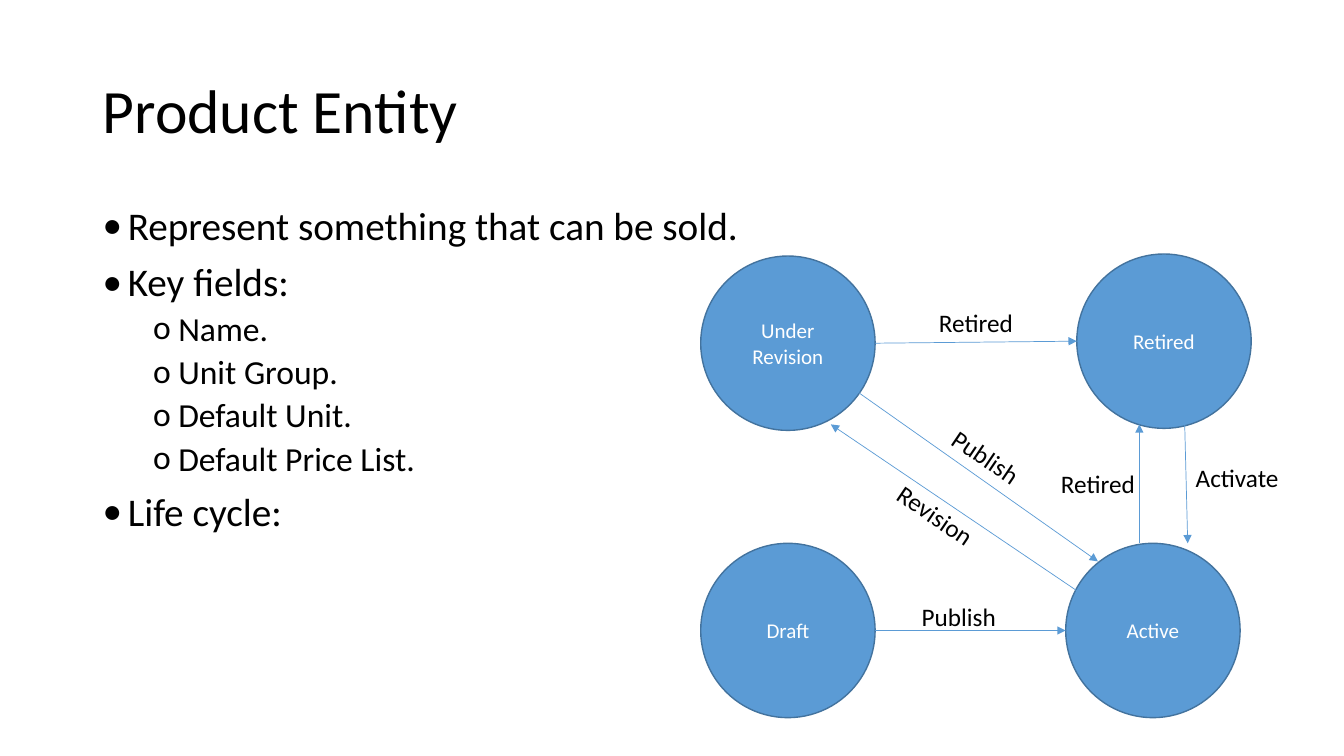
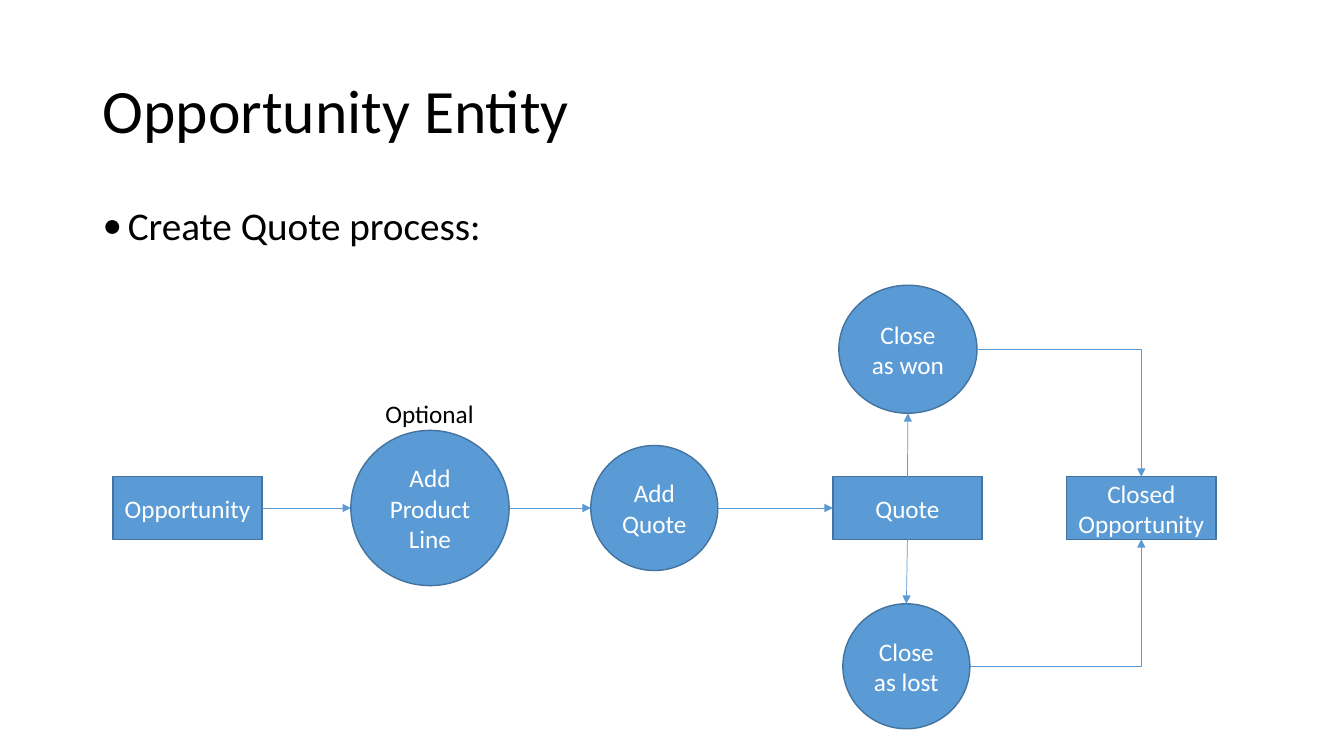
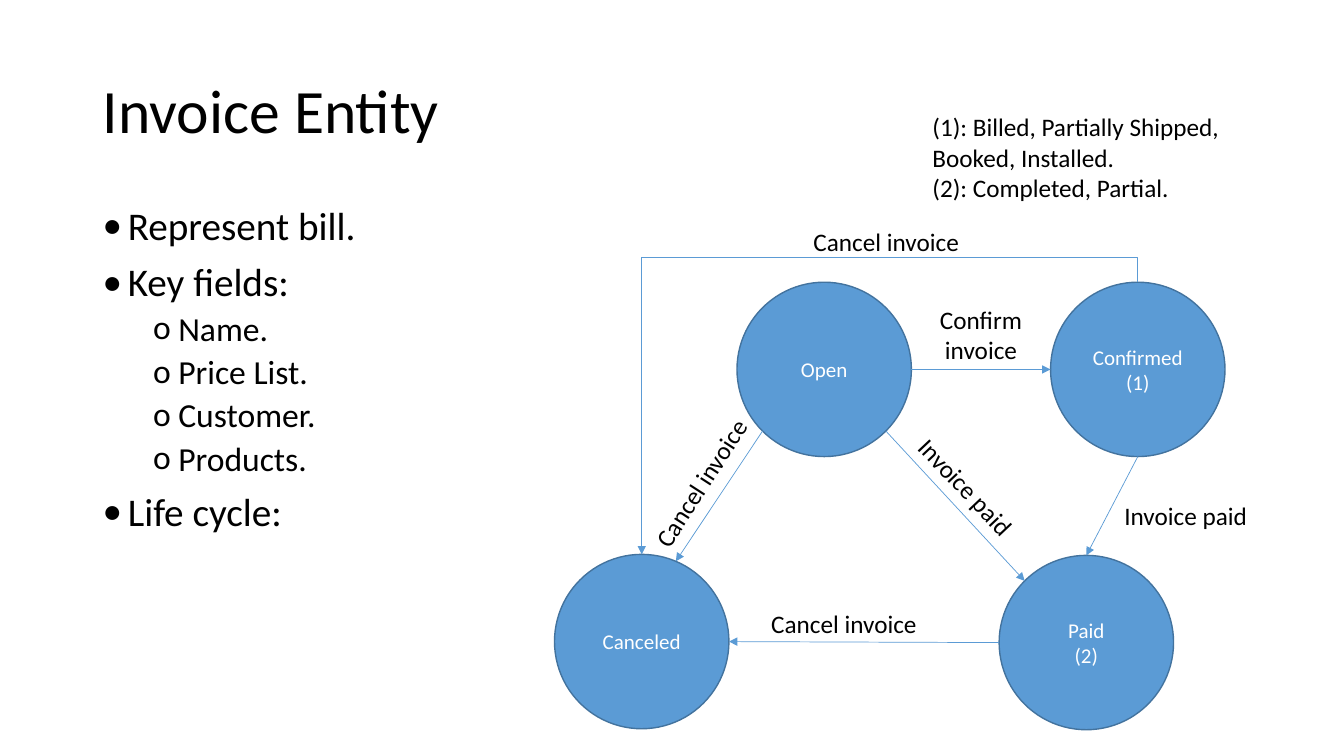
"""Build three entity slides, each with a title, bullets and a state diagram."""
from math import cos, radians, sin

from lxml import etree
from pptx import Presentation
from pptx import util as u
from pptx.dml.color import RGBColor
from pptx.enum import shapes, text
from pptx.oxml.ns import qn

FONT = "Calibri"
BLACK = RGBColor(0x00, 0x00, 0x00)
WHITE = RGBColor(0xFF, 0xFF, 0xFF)
BLUE = RGBColor(0x5B, 0x9B, 0xD5)
DARK_BLUE = RGBColor(0x43, 0x73, 0x9E)

TITLE_AREA = (0.92, 0.4, 11.5, 1.45)
BODY_AREA = (0.92, 2, 11.5, 4.76)
LABEL_SIZE = (1.66, 0.4)
STATE = (1.73, 1.73)
RECORD = (1.48, 0.62)
EAST, SOUTH, WEST, NORTH = 0, 90, 180, 270
OVAL = shapes.MSO_SHAPE.OVAL
RECT = shapes.MSO_SHAPE.RECTANGLE
LEVELS = [("•", 28, 10, 0.25), ("o", 24, 5, 0.75)]

SLIDES = [
    {
        "title": "Product Entity",
        "bullets": [
            (0, "Represent something that can be sold."), (0, "Key fields:"),
            (1, "Name."), (1, "Unit Group."), (1, "Default Unit."),
            (1, "Default Price List."), (0, "Life cycle:"),
        ],
        "node_font": 15,
        "nodes": [
            ("Active", OVAL, (10.57, 5.39), STATE),
            ("Draft", OVAL, (6.95, 5.39), STATE),
            ("Retired", OVAL, (10.68, 2.52), STATE),
            ("Under Revision", OVAL, (6.95, 2.54), STATE),
        ],
        "arrows": [
            ((11.75, 4.21), (11.78, 5.39)),
            ((11.3, 5.39), (11.3, 4.21)),
            (("Draft", EAST), ("Active", WEST)),
            ((10.68, 5.86), (8.24, 4.21)),
            ((8.48, 3.87), (10.89, 5.57)),
            (("Under Revision", EAST), ("Retired", WEST)),
        ],
        "labels": [
            ("Activate", 11.44, 4.54, 0), ("Retired", 10.06, 4.6, 0),
            ("Publish", 8.68, 5.92, 0), ("Revision", 8.45, 4.91, 34.1),
            ("Publish", 8.95, 4.33, 34.1), ("Retired", 8.85, 3, 0),
        ],
    },
    {
        "title": "Opportunity Entity",
        "bullets": [(0, "Create Quote process:")],
        "node_font": 18,
        "nodes": [
            ("Opportunity", RECT, (1.12, 4.73), RECORD),
            ("Quote", RECT, (8.26, 4.73), RECORD),
            ("Closed\nOpportunity", RECT, (10.58, 4.73), RECORD),
            ("Add Product Line", OVAL, (3.48, 4.27), (1.57, 1.54)),
            ("Add Quote", OVAL, (5.86, 4.42), (1.26, 1.24)),
            ("Close as won", OVAL, (8.32, 2.83), (1.37, 1.27)),
            ("Close as lost", OVAL, (8.36, 5.99), (1.26, 1.24)),
        ],
        "arrows": [
            (("Opportunity", EAST), ("Add Product Line", WEST)),
            (("Add Product Line", EAST), ("Add Quote", WEST)),
            (("Add Quote", EAST), ("Quote", WEST)),
            (("Quote", NORTH), ("Close as won", SOUTH)),
            (("Quote", SOUTH), ("Close as lost", NORTH)),
        ],
        "corners": [
            (("Close as won", EAST), ("Closed\nOpportunity", NORTH)),
            (("Close as lost", EAST), ("Closed\nOpportunity", SOUTH)),
        ],
        "labels": [("Optional", 3.43, 3.9, 0)],
    },
    {
        "title": "Invoice Entity",
        "bullets": [
            (0, "Represent bill."), (0, "Key fields:"), (1, "Name."),
            (1, "Price List."), (1, "Customer."), (1, "Products."),
            (0, "Life cycle:"),
        ],
        "node_font": 15,
        "nodes": [
            ("Confirmed\n(1)", OVAL, (10.42, 2.8), STATE),
            ("Canceled", OVAL, (5.5, 5.5), STATE),
            ("Open", OVAL, (7.31, 2.8), STATE),
            ("Paid\n(2)", OVAL, (9.91, 5.51), STATE),
        ],
        "arrows": [
            (("Open", EAST), ("Confirmed\n(1)", WEST)),
            (("Open", 135), ("Canceled", 293)),
            (("Open", 45), ("Paid\n(2)", 225)),
            (("Confirmed\n(1)", SOUTH), ("Paid\n(2)", NORTH)),
            (("Paid\n(2)", WEST), ("Canceled", EAST)),
        ],
        "overpasses": [(("Confirmed\n(1)", NORTH), ("Canceled", NORTH), 0.25)],
        "labels": [
            ("Confirm invoice", 8.9, 2.97, 0), ("Cancel invoice", 6.12, 4.59, 302.9),
            ("Invoice paid", 8.75, 4.63, 46.6), ("Invoice paid", 10.93, 4.91, 0),
            ("Cancel invoice", 7.54, 5.99, 0), ("Cancel invoice", 7.96, 2.2, 0),
        ],
        "note": ("(1): Billed, Partially Shipped, Booked, Installed.\n"
                 "(2): Completed, Partial.", (9.15, 1.06, 3.27, 1.01)),
    },
]


def inches(values):
    return [u.Inches(value) for value in values]


def format_text(shape, size, color, align):
    shape.text_frame.word_wrap = True
    for para in shape.text_frame.paragraphs:
        para.alignment = align
        for span in para.runs:
            span.font.name = FONT
            span.font.size = u.Pt(size)
            span.font.color.rgb = color


def add_title(page, title):
    box = page.shapes.title
    box.left, box.top, box.width, box.height = inches(TITLE_AREA)
    box.text_frame.text = title
    box.text_frame.auto_size = text.MSO_AUTO_SIZE.NONE
    box.text_frame.vertical_anchor = text.MSO_ANCHOR.MIDDLE
    box.text_frame.paragraphs[0].line_spacing = 0.9
    format_text(box, 44, BLACK, text.PP_ALIGN.LEFT)


def add_text(page, content, area, align):
    box = page.shapes.add_textbox(*inches(area))
    box.text_frame.text = content
    format_text(box, 18, BLACK, align)
    return box


def add_bullets(page, bullets):
    box = add_text(page, "\n".join(line for _, line in bullets), BODY_AREA,
                   text.PP_ALIGN.LEFT)
    for para, (level, _) in zip(box.text_frame.paragraphs, bullets):
        mark, size, space, indent = LEVELS[level]
        para.level = level
        para.line_spacing = 0.9
        para.space_before = u.Pt(space)
        para.runs[0].font.size = u.Pt(size)
        props = para._p.get_or_add_pPr()
        props.set("marL", str(u.Inches(indent)))
        props.set("indent", str(u.Inches(-0.25)))
        etree.SubElement(props, qn("a:buFont")).set("typeface", FONT)
        etree.SubElement(props, qn("a:buChar")).set("char", mark)


def add_node(page, name, kind, corner, size, font_size):
    node = page.shapes.add_shape(kind, *inches(corner + size))
    node.shadow.inherit = False
    node.fill.solid()
    node.fill.fore_color.rgb = BLUE
    node.line.color.rgb = DARK_BLUE
    node.line.width = u.Pt(1)
    node.text_frame.text = name
    node.text_frame.vertical_anchor = text.MSO_ANCHOR.MIDDLE
    format_text(node, font_size, WHITE, text.PP_ALIGN.CENTER)


def locate(end, nodes):
    """Return a point as given, or the point of a node's rim at an angle."""
    if not isinstance(end[0], str):
        return end
    name, angle = end
    (left, top), (width, height) = nodes[name]
    return (left + width / 2 * (1 + cos(radians(angle))),
            top + height / 2 * (1 + sin(radians(angle))))


def add_arrow(page, start, end, kind=shapes.MSO_CONNECTOR.STRAIGHT):
    arrow = page.shapes.add_connector(kind, *inches((*start, *end)))
    arrow.line.color.rgb = BLUE
    arrow.line.width = u.Pt(0.5)
    etree.SubElement(arrow.line._get_or_add_ln(), qn("a:tailEnd")).set("type", "triangle")
    etree.SubElement(arrow._element.spPr, qn("a:effectLst"))
    return arrow


def add_corner(page, start, end):
    arrow = add_arrow(page, start, end, shapes.MSO_CONNECTOR.ELBOW)
    arrow._element.spPr.find(qn("a:prstGeom")).set("prst", "bentConnector2")


def add_overpass(page, start, end, rise):
    """Draw an elbow that leaves upwards, as a flat elbow turned by 270 degrees."""
    (x1, y1), (x2, y2) = start, end
    middle_x, middle_y = (x1 + x2) / 2, (y1 + y2) / 2
    across, down = (x1 - x2) / 2, (y1 - y2) / 2
    arrow = add_arrow(page, (middle_x - down, middle_y + across),
                      (middle_x + down, middle_y - across), shapes.MSO_CONNECTOR.ELBOW)
    props = arrow._element.spPr
    props.find(qn("a:xfrm")).set("rot", str(270 * 60000))
    guides = props.find(qn("a:prstGeom")).get_or_add_avLst()
    guide = etree.SubElement(guides, qn("a:gd"))
    guide.set("name", "adj1")
    guide.set("fmla", f"val {round(-rise / abs(y2 - y1) * 100000)}")


def add_slide(deck, content):
    page = deck.slides.add_slide(deck.slide_layouts[5])
    add_title(page, content["title"])
    add_bullets(page, content["bullets"])
    nodes = {name: (corner, size) for name, _, corner, size in content["nodes"]}
    for node in content["nodes"]:
        add_node(page, *node, content["node_font"])
    for start, end in content["arrows"]:
        add_arrow(page, locate(start, nodes), locate(end, nodes))
    for start, end in content.get("corners", []):
        add_corner(page, locate(start, nodes), locate(end, nodes))
    for start, end, rise in content.get("overpasses", []):
        add_overpass(page, locate(start, nodes), locate(end, nodes), rise)
    for label, left, top, angle in content["labels"]:
        box = add_text(page, label, (left, top, *LABEL_SIZE), text.PP_ALIGN.CENTER)
        box.rotation = angle
    if "note" in content:
        add_text(page, *content["note"], text.PP_ALIGN.LEFT)


def main():
    deck = Presentation()
    deck.slide_width, deck.slide_height = inches((13.33, 7.5))
    for content in SLIDES:
        add_slide(deck, content)
    deck.save("out.pptx")


if __name__ == "__main__":
    main()
